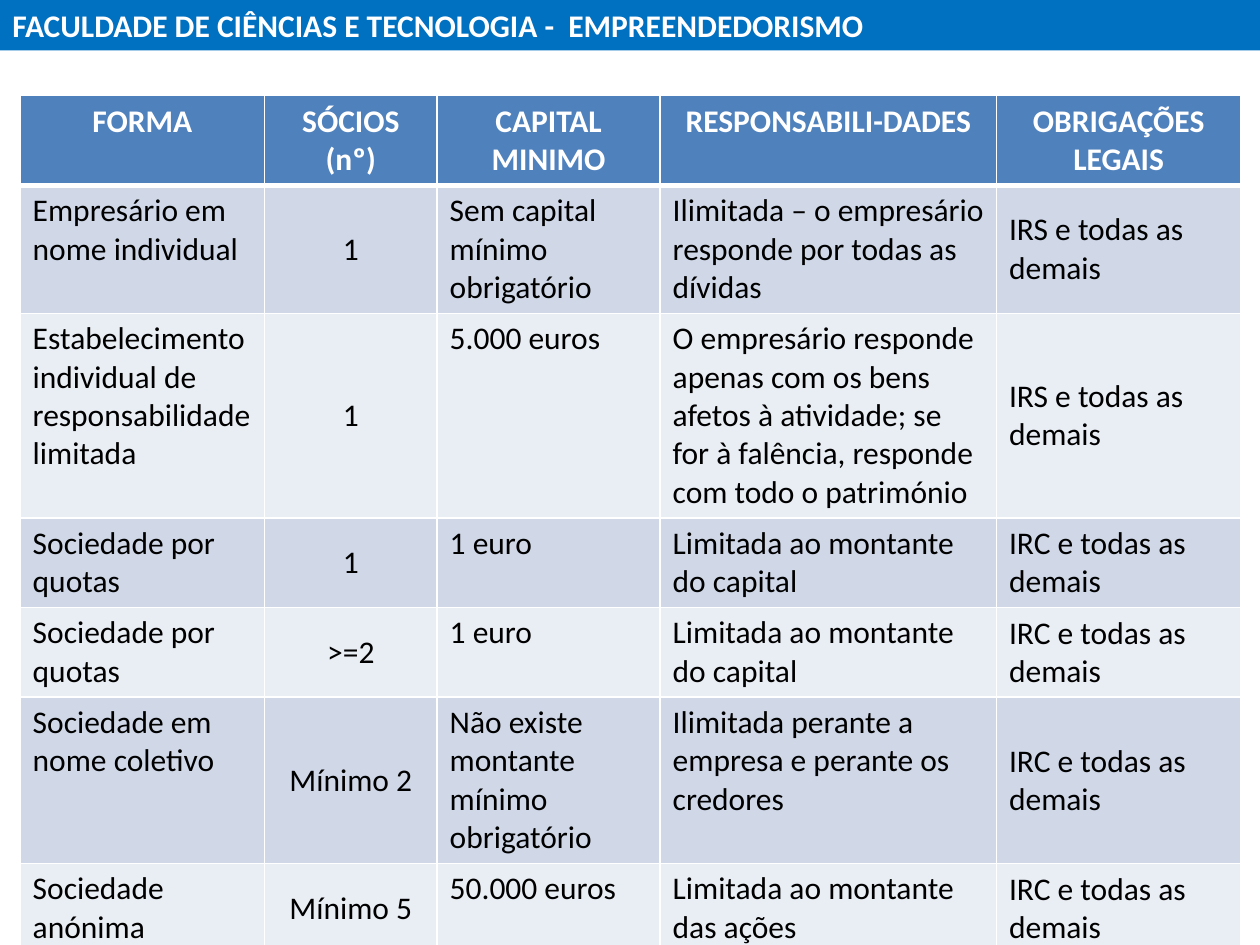
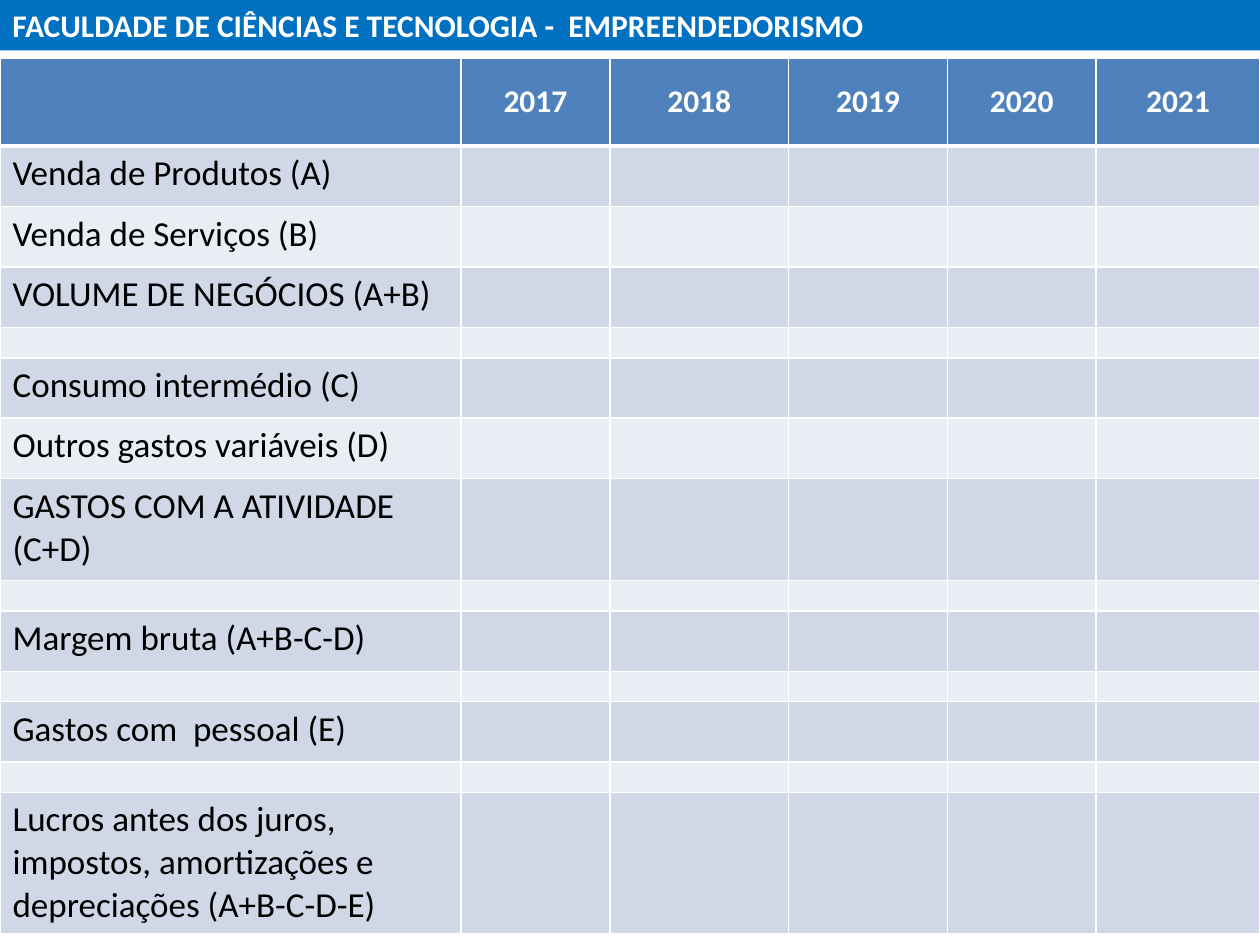
from lxml import etree
from pptx import Presentation
from pptx.dml.color import RGBColor
from pptx.enum.shapes import MSO_SHAPE
from pptx.enum.text import MSO_ANCHOR, PP_ALIGN
from pptx.oxml.ns import qn
from pptx.util import Inches, Pt

RECTANGLE = MSO_SHAPE.RECTANGLE
LEFT, CENTER = PP_ALIGN.LEFT, PP_ALIGN.CENTER
TOP, MIDDLE = MSO_ANCHOR.TOP, MSO_ANCHOR.MIDDLE

# Content
BAND_TEXT = "FACULDADE DE CIÊNCIAS E TECNOLOGIA -  EMPREENDEDORISMO"

LEGAL_FORMS = [
    ("FORMA", "SÓCIOS (nº)", "CAPITAL MINIMO", "RESPONSABILI-DADES", "OBRIGAÇÕES LEGAIS"),
    ("Empresário em nome individual", "1", "Sem capital mínimo obrigatório",
     "Ilimitada – o empresário responde por todas as dívidas", "IRS e todas as demais"),
    ("Estabelecimento individual de responsabilidade limitada", "1", "5.000 euros",
     "O empresário responde apenas com os bens afetos à atividade; "
     "se for à falência, responde com todo o património", "IRS e todas as demais"),
    ("Sociedade por quotas", "1", "1 euro",
     "Limitada ao montante do capital", "IRC e todas as demais"),
    ("Sociedade por quotas", ">=2", "1 euro",
     "Limitada ao montante do capital", "IRC e todas as demais"),
    ("Sociedade em nome coletivo", "Mínimo 2", "Não existe montante mínimo obrigatório",
     "Ilimitada perante a empresa e perante os credores", "IRC e todas as demais"),
    ("Sociedade anónima", "Mínimo 5", "50.000 euros",
     "Limitada ao montante das ações", "IRC e todas as demais"),
]
LEGAL_WIDTHS = [1.94, 1.37, 1.77, 2.67, 1.94]
LEGAL_HEIGHTS = [0.69, 1, 1.6, 0.7, 0.7, 1.3, 0.7]

YEARS = ("", "2017", "2018", "2019", "2020", "2021")
# Label and row height; an empty label is a narrow separator row
SEPARATOR = ("", 0.24)
FORECAST_LINES = [
    ("Venda de Produtos (A)", 0.48),
    ("Venda de Serviços (B)", 0.48),
    ("VOLUME DE NEGÓCIOS (A+B)", 0.48),
    SEPARATOR,
    ("Consumo intermédio (C)", 0.48),
    ("Outros gastos variáveis (D)", 0.48),
    ("GASTOS COM A ATIVIDADE (C+D)", 0.81),
    SEPARATOR,
    ("Margem bruta (A+B-C-D)", 0.48),
    SEPARATOR,
    ("Gastos com  pessoal (E)", 0.48),
    SEPARATOR,
    ("Lucros antes dos juros, impostos, amortizações e depreciações (A+B-C-D-E)", 1.1),
]
FORECAST_WIDTHS = [3.66, 1.18, 1.42, 1.26, 1.18, 1.3]

# Shared style
FONT = "Calibri"
COLORS = {
    "band": "0070C0",
    "header": "4F81BD",
    "odd": "D0D8E8",
    "even": "E9EDF4",
    "white": "FFFFFF",
    "text": "000000",
}


def color(name):
    return RGBColor.from_string(COLORS[name])


def paint(item, name):
    item.fill.solid()
    item.fill.fore_color.rgb = color(name)


def write(frame, text, size, color_name, bold=False, align=LEFT):
    para = frame.paragraphs[0]
    para.alignment = align
    span = para.add_run()
    span.text = text
    span.font.name = FONT
    span.font.size = Pt(size)
    span.font.bold = bold
    span.font.color.rgb = color(color_name)


def add_borders(cell, top, bottom):
    """Draw white cell borders; widths in points."""
    properties = cell._tc.get_or_add_tcPr()
    for side, width in (("L", 1), ("R", 1), ("T", top), ("B", bottom)):
        line = etree.SubElement(properties, qn(f"a:ln{side}"), w=str(Pt(width)))
        fill = etree.SubElement(line, qn("a:solidFill"))
        etree.SubElement(fill, qn("a:srgbClr"), val=COLORS["white"])


def add_page(deck):
    """Add a blank page with the title band."""
    page = deck.slides.add_slide(deck.slide_layouts[6])
    band = page.shapes.add_shape(RECTANGLE, 0, 0, deck.slide_width, Inches(0.4))
    band.shadow.inherit = False
    paint(band, "band")
    band.line.fill.background()
    band.text_frame.word_wrap = True
    write(band.text_frame, BAND_TEXT, 18, "white", bold=True)
    return page


def add_grid(page, left, top, widths, heights, rows, body_size,
             centered=(), middle=(), header_anchor=TOP):
    """Add a banded table; centered and middle list body column numbers."""
    table = page.shapes.add_table(
        len(rows), len(widths), Inches(left), Inches(top),
        Inches(sum(widths)), Inches(sum(heights))).table
    for column, width in zip(table.columns, widths):
        column.width = Inches(width)
    for i, (row, height) in enumerate(zip(rows, heights)):
        table.rows[i].height = Inches(height)
        header = i == 0
        fill = "header" if header else "odd" if i % 2 else "even"
        for j, text in enumerate(row):
            cell = table.cell(i, j)
            add_borders(cell, top=3 if i == 1 else 1, bottom=3 if header else 1)
            paint(cell, fill)
            if header:
                cell.vertical_anchor = header_anchor
            else:
                cell.vertical_anchor = MIDDLE if j in middle else TOP
            if not text:
                # Small end mark lets separator rows stay narrow
                para = cell.text_frame.paragraphs[0]
                etree.SubElement(para._p, qn("a:endParaRPr"), sz="800")
            elif header:
                write(cell.text_frame, text, 18, "white", bold=True, align=CENTER)
            else:
                write(cell.text_frame, text, body_size, "text",
                      align=CENTER if j in centered else LEFT)


def main():
    deck = Presentation()
    deck.slide_width, deck.slide_height = Inches(10), Inches(7.5)

    # Legal forms of a company
    add_grid(add_page(deck), 0.16, 0.76, LEGAL_WIDTHS, LEGAL_HEIGHTS, LEGAL_FORMS,
             18, centered=(1,), middle=(1, 4))

    # Five-year forecast
    blanks = ("",) * (len(YEARS) - 1)
    rows = [YEARS] + [(label,) + blanks for label, _ in FORECAST_LINES]
    heights = [0.7] + [height for _, height in FORECAST_LINES]
    add_grid(add_page(deck), 0, 0.46, FORECAST_WIDTHS, heights, rows,
             20, header_anchor=MIDDLE)

    deck.save("out.pptx")


if __name__ == "__main__":
    main()
